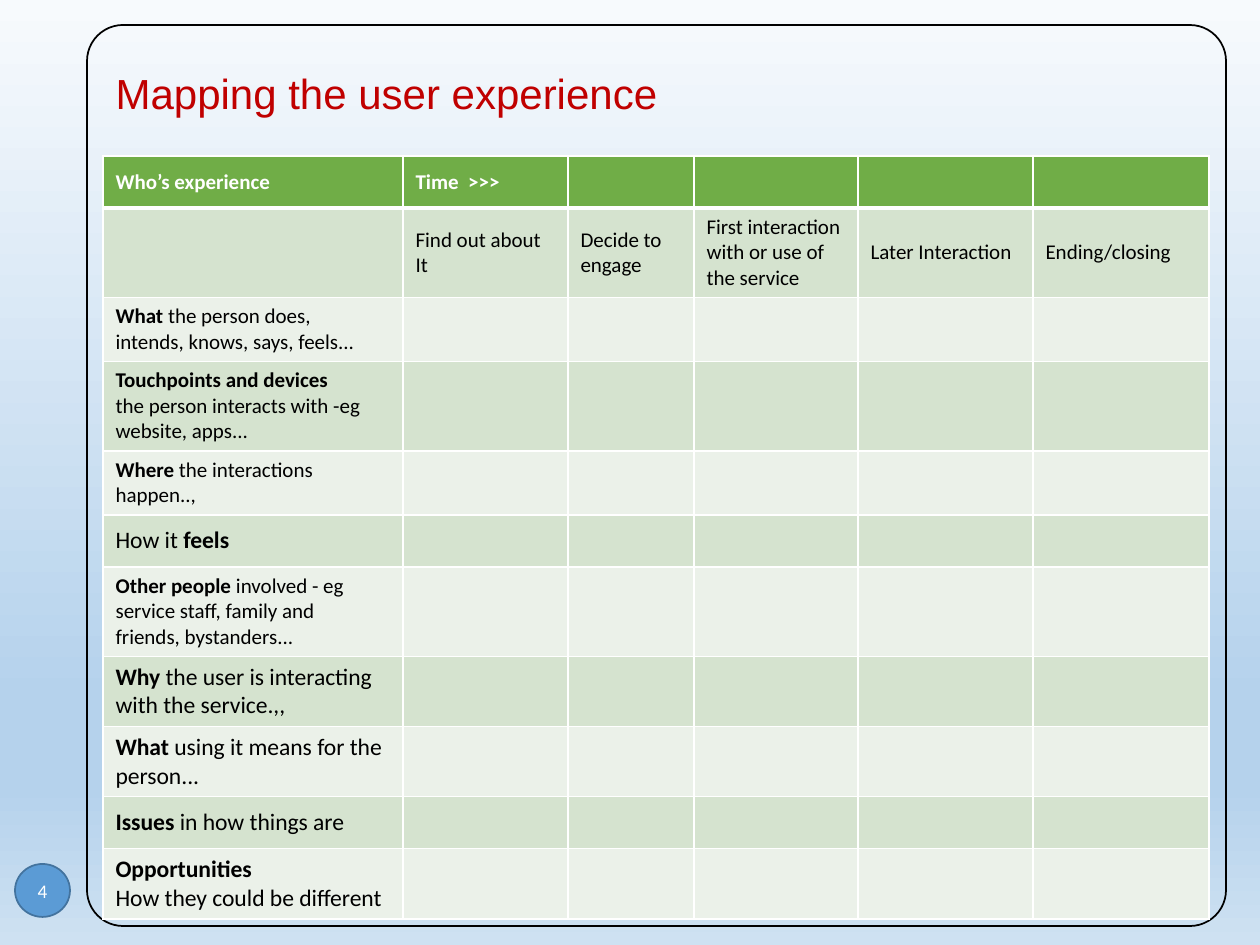
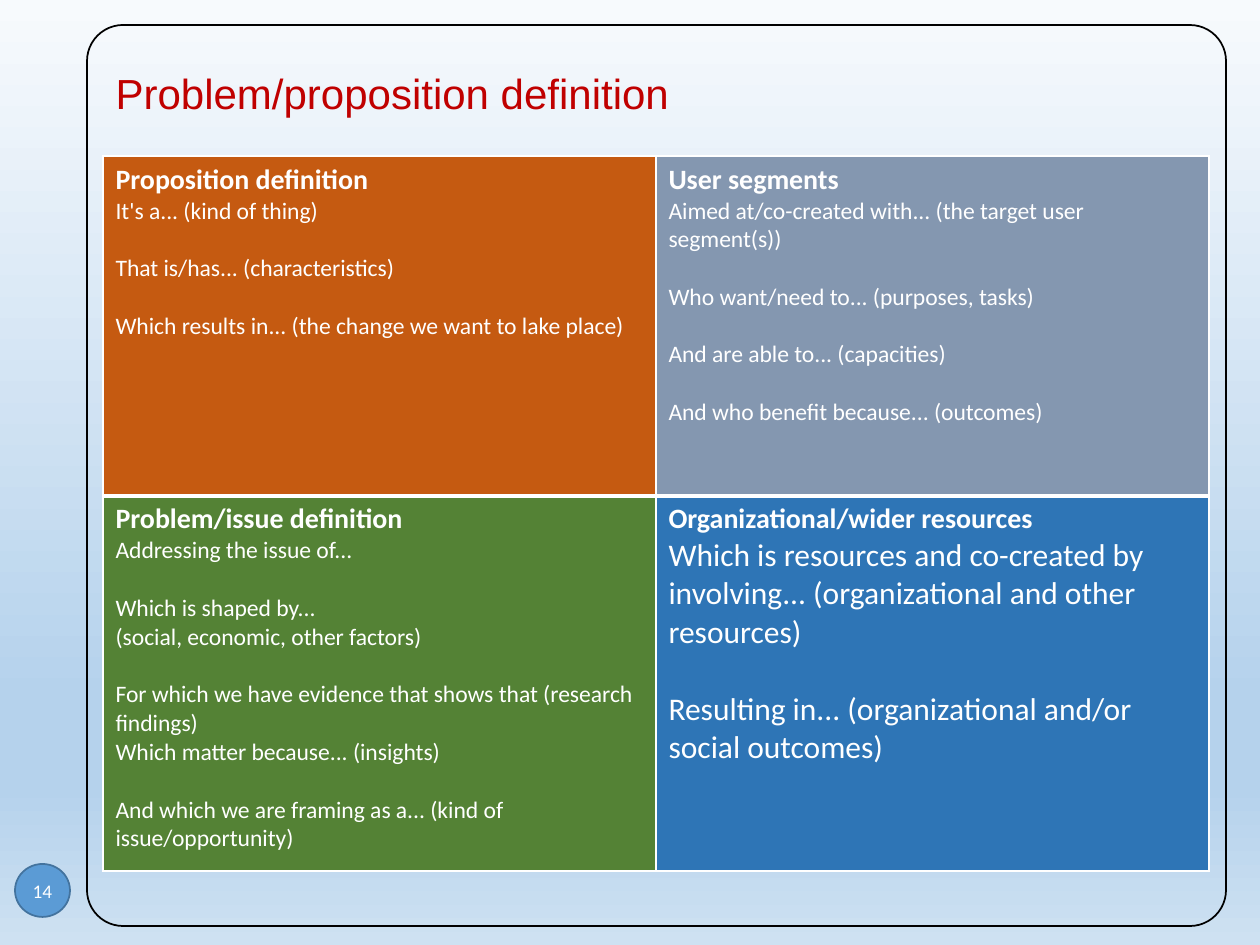
from lxml import etree
from pptx import Presentation
from pptx.dml.color import RGBColor
from pptx.enum.shapes import MSO_SHAPE
from pptx.enum.text import MSO_ANCHOR, MSO_AUTO_SIZE, PP_ALIGN
from pptx.oxml.ns import qn
from pptx.util import Pt

FRAME = MSO_SHAPE.ROUNDED_RECTANGLE
DISC = MSO_SHAPE.FLOWCHART_CONNECTOR
MIDDLE, TOP = MSO_ANCHOR.MIDDLE, MSO_ANCHOR.TOP
LEFT, CENTER = PP_ALIGN.LEFT, PP_ALIGN.CENTER
FIXED = MSO_AUTO_SIZE.NONE

BLACK = RGBColor(0x00, 0x00, 0x00)
WHITE = RGBColor(0xFF, 0xFF, 0xFF)
RED = RGBColor(0xC0, 0x00, 0x00)
BLUE = RGBColor(0x5B, 0x9B, 0xD5)
NAVY = RGBColor(0x43, 0x73, 0x9E)
GREEN = RGBColor(0x70, 0xAD, 0x47)
SAGE = RGBColor(0xD5, 0xE3, 0xCF)
MIST = RGBColor(0xEB, 0xF1, 0xE9)
RUST = RGBColor(0xC5, 0x5A, 0x11)
SLATE = RGBColor(0x84, 0x97, 0xB0)
MOSS = RGBColor(0x54, 0x82, 0x35)
COBALT = RGBColor(0x2E, 0x75, 0xB6)
SKY = [
    (0, RGBColor(0xF7, 0xFA, 0xFD)),
    (74, RGBColor(0xB5, 0xD2, 0xEC)),
    (83, RGBColor(0xB5, 0xD2, 0xEC)),
    (100, RGBColor(0xCE, 0xE1, 0xF2)),
]

HEAD_FONT, BODY_FONT = "Arial", "Calibri"
SMALL, BODY, LARGE, HEAD = 12, 13.5, 18, 16
LEADING = 1.22
GRID_LEFT, GRID_TOP = 103, 156

STAGES = [
    "Find out about It",
    "Decide to engage",
    "First interaction with or use of the service",
    "Later Interaction",
    "Ending/closing",
]
STAGE_WIDTHS = [300, 165, 126, 164, 175, 176]
ASPECTS = [
    (SMALL, 64, ["*What* the person does,", "intends, knows, says, feels..."]),
    (SMALL, 89, ["*Touchpoints and devices*", "the person interacts with -eg", "website, apps..."]),
    (SMALL, 64, ["*Where* the interactions", "happen..,"]),
    (BODY, 52, ["How it *feels*"]),
    (SMALL, 89, ["*Other people *involved - eg", "service staff, family and", "friends, bystanders..."]),
    (BODY, 70, ["*Why* the user is interacting", "with the service.,,"]),
    (BODY, 70, ["*What* using it means for the", "person..."]),
    (BODY, 52, ["*Issues* in how things are"]),
    (BODY, 70, ["*Opportunities*", "How they could be different"]),
]
PANELS = [
    [
        ("Proposition definition", RUST, BODY, [
            ["It's a... (kind of thing)"],
            ["That is/has... (characteristics)"],
            ["Which results in... (the change we want to lake place)"],
        ]),
        ("User segments", SLATE, BODY, [
            ["Aimed at/co-created with... (the target user segment(s))"],
            ["Who want/need to... (purposes, tasks)"],
            ["And are able to... (capacities)"],
            ["And who benefit because... (outcomes)"],
        ]),
    ],
    [
        ("Problem/issue definition", MOSS, BODY, [
            ["Addressing the issue of..."],
            ["Which is shaped by...", "(social, economic, other factors)"],
            ["For which we have evidence that shows that (research findings)",
             "Which matter because... (insights)"],
            ["And which we are framing as a... (kind of issue/opportunity)"],
        ]),
        ("Organizational/wider resources", COBALT, LARGE, [
            ["Which is resources and co-created by involving... (organizational and other resources)"],
            ["Resulting in... (organizational and/or social outcomes)"],
        ]),
    ],
]


def px(count):
    return round(count * 914400 / 126)


def style(run, size, color, bold=False, font=BODY_FONT):
    run.font.name = font
    run.font.size = Pt(size)
    run.font.bold = bold
    run.font.color.rgb = color


def write(para, text, size, color):
    for i, part in enumerate(text.split("*")):
        if part:
            run = para.add_run()
            run.text = part
            style(run, size, color, bold=i % 2 == 1)


def fill_text(frame, lines, color):
    for i, (text, size, gap) in enumerate(lines):
        para = frame.add_paragraph() if i else frame.paragraphs[0]
        para.space_before = Pt(gap)
        write(para, text, size, color)


def add_sky(slide):
    fill = slide.background.fill
    fill.gradient()
    fill.gradient_angle = 270
    stops = next(slide.element.iter(qn("a:gsLst")))
    for stop in list(stops):
        stops.remove(stop)
    for place, color in SKY:
        stop = etree.SubElement(stops, qn("a:gs"), pos=str(place * 1000))
        etree.SubElement(stop, qn("a:srgbClr"), val=str(color))


def add_shape(slide, kind, box, line):
    shape = slide.shapes.add_shape(kind, *map(px, box))
    shape.shadow.inherit = False
    shape.line.color.rgb = line
    shape.line.width = Pt(1)
    return shape


def add_badge(slide, number):
    badge = add_shape(slide, DISC, (15, 864, 55, 53), NAVY)
    badge.fill.solid()
    badge.fill.fore_color.rgb = BLUE
    frame = badge.text_frame
    frame.margin_left = frame.margin_right = 0
    frame.vertical_anchor = MIDDLE
    frame.text = str(number)
    para = frame.paragraphs[0]
    para.alignment = CENTER
    style(para.runs[0], 11, WHITE)


def set_title(slide, text):
    title = slide.shapes.title
    title.left, title.top, title.width, title.height = map(px, (103, 50, 1106, 91))
    frame = title.text_frame
    frame.text = text
    frame.auto_size = FIXED
    frame.vertical_anchor = MIDDLE
    para = frame.paragraphs[0]
    para.alignment = LEFT
    para.line_spacing = 0.9
    style(para.runs[0], 24, RED, font=HEAD_FONT)


def add_slide(deck, text, number):
    slide = deck.slides.add_slide(deck.slide_layouts[5])
    add_sky(slide)
    frame = add_shape(slide, FRAME, (87, 25, 1139, 901), BLACK)
    frame.fill.background()
    frame.adjustments[0] = 0.04
    add_badge(slide, number)
    set_title(slide, text)
    return slide


def set_edges(cell, row):
    props = cell._tc.get_or_add_tcPr()
    for side in "LRTB":
        thick = (side, row) in (("B", 0), ("T", 1))
        edge = etree.SubElement(props, qn("a:ln" + side), w=str(Pt(3 if thick else 1)))
        paint = etree.SubElement(edge, qn("a:solidFill"))
        etree.SubElement(paint, qn("a:srgbClr"), val=str(WHITE))


def add_grid(slide, widths, heights):
    box = (GRID_LEFT, GRID_TOP, sum(widths), sum(heights))
    table = slide.shapes.add_table(len(heights), len(widths), *map(px, box)).table
    for col, width in zip(table.columns, widths):
        col.width = px(width)
    for row, height in zip(table.rows, heights):
        row.height = px(height)
    return table


def set_cell(table, row, col, lines, fill, color, anchor):
    cell = table.cell(row, col)
    set_edges(cell, row)
    cell.fill.solid()
    cell.fill.fore_color.rgb = fill
    cell.vertical_anchor = anchor
    fill_text(cell.text_frame, lines, color)


def add_map(slide):
    rows = [
        (SMALL, 52, [["*Who’s experience*"], ["*Time  >>>*"]]),
        (SMALL, 89, [[]] + [[stage] for stage in STAGES]),
    ] + [(size, height, [label]) for size, height, label in ASPECTS]
    table = add_grid(slide, STAGE_WIDTHS, [height for _, height, _ in rows])
    for r, (size, _, texts) in enumerate(rows):
        fill = GREEN if r == 0 else SAGE if r % 2 else MIST
        color = WHITE if r == 0 else BLACK
        for c in range(len(STAGE_WIDTHS)):
            lines = [(text, size, 0) for text in texts[c]] if c < len(texts) else []
            set_cell(table, r, c, lines, fill, color, MIDDLE)


def add_panels(slide):
    table = add_grid(slide, [553, 553], [340, 375])
    for r, row in enumerate(PANELS):
        for c, (head, fill, size, groups) in enumerate(row):
            lines = [(f"*{head}*", HEAD, 0)]
            for g, group in enumerate(groups):
                for i, text in enumerate(group):
                    gap = size * LEADING if g and i == 0 else 0
                    lines.append((text, size, gap))
            set_cell(table, r, c, lines, fill, WHITE, TOP)


def main():
    deck = Presentation()
    deck.slide_width, deck.slide_height = px(1260), px(945)
    add_map(add_slide(deck, "Mapping the user experience", 4))
    add_panels(add_slide(deck, "Problem/proposition definition", 14))
    deck.save("out.pptx")


if __name__ == "__main__":
    main()
